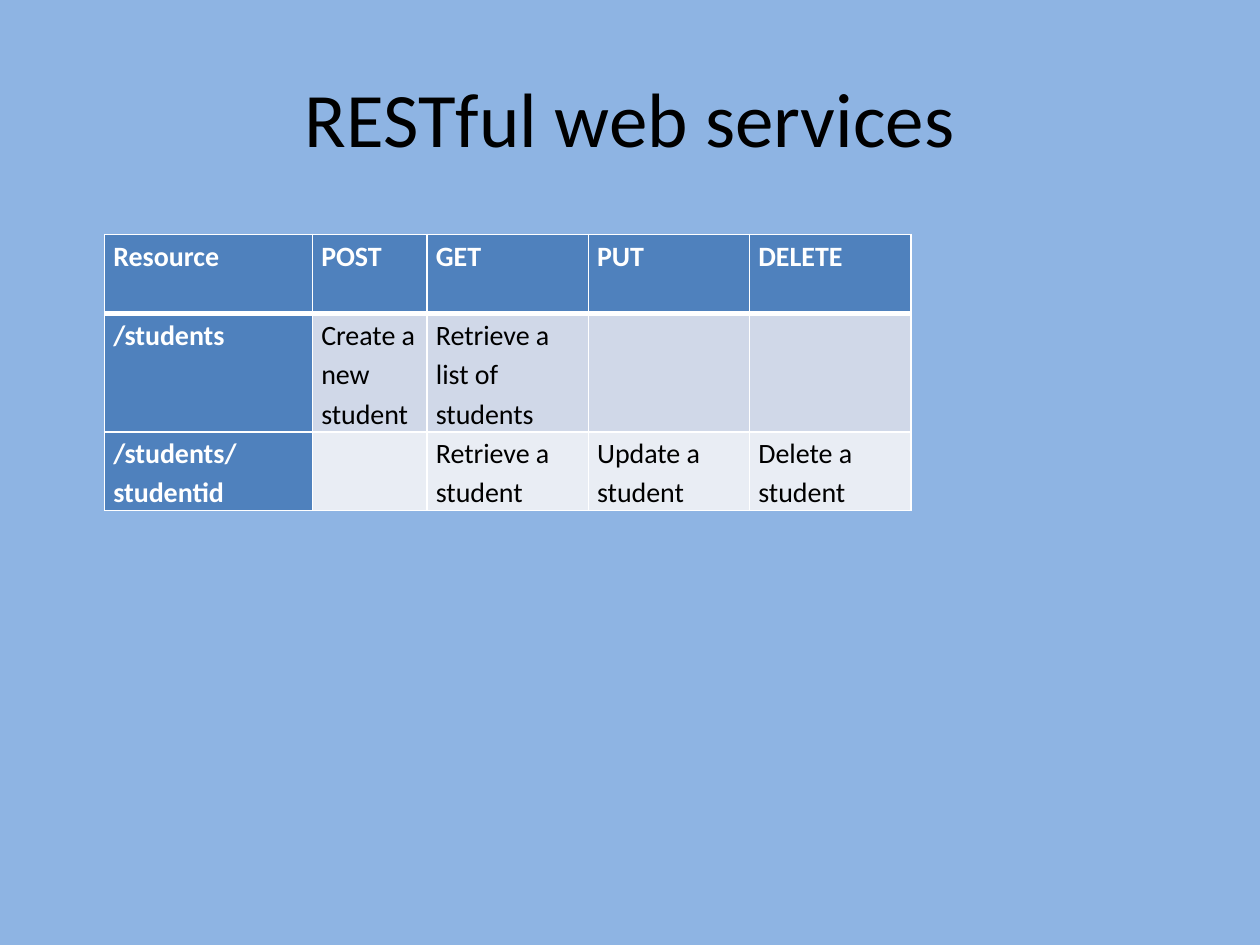
from lxml.etree import SubElement
from pptx import Presentation
from pptx.dml.color import RGBColor
from pptx.enum.text import MSO_ANCHOR, PP_ALIGN
from pptx.oxml.ns import qn
from pptx.util import Inches, Pt

COLORS = {
    "background": "8EB4E3",
    "header": "4F81BD",
    "odd_row": "D0D8E8",
    "even_row": "E9EDF4",
    "white": "FFFFFF",
    "black": "000000",
}
ENDPOINTS = [
    ["Resource", "POST", "GET", "PUT", "DELETE"],
    ["/students", "Create a new student", "Retrieve a list of students", "", ""],
    ["/students/studentid", "", "Retrieve a student", "Update a student",
     "Delete a student"],
]
COLUMN_WIDTHS = [1.65, 0.91, 1.28, 1.28, 1.28]
ROW_HEIGHTS = [0.63, 0.93, 0.62]


class SlideBuilder:
    """Holds the style and the current slide."""

    font_name = "Calibri"

    def __init__(self, slide):
        self.slide = slide

    def color(self, name):
        return RGBColor.from_string(COLORS[name])

    def background(self, name):
        fill = self.slide.background.fill
        fill.solid()
        fill.fore_color.rgb = self.color(name)

    def format(self, paragraph, size, color, bold=False):
        font = paragraph.font
        font.name, font.size, font.bold = self.font_name, Pt(size), bold
        font.color.rgb = self.color(color)

    def title(self, text, left, top, width, height):
        title = self.slide.shapes.title
        title.left, title.top = Inches(left), Inches(top)
        title.width, title.height = Inches(width), Inches(height)
        title.text_frame.text = text
        title.text_frame.vertical_anchor = MSO_ANCHOR.MIDDLE
        heading = title.text_frame.paragraphs[0]
        heading.alignment = PP_ALIGN.CENTER
        self.format(heading, 44, "black")

    def borders(self, cell, widths):
        properties = cell._tc.get_or_add_tcPr()
        for position, (side, width) in enumerate(widths.items()):
            line = properties.makeelement(qn(f"a:{side}"), {"w": str(Pt(width))})
            fill = SubElement(line, qn("a:solidFill"))
            SubElement(fill, qn("a:srgbClr"), val=COLORS["white"])
            properties.insert(position, line)

    def cell(self, cell, text, fill, is_heading):
        cell.fill.solid()
        cell.fill.fore_color.rgb = self.color(fill)
        cell.margin_left = cell.margin_right = Inches(0.07)
        cell.margin_top = cell.margin_bottom = 0
        cell.text = text
        paragraph = cell.text_frame.paragraphs[0]
        paragraph.line_spacing = 1.15
        self.format(paragraph, 16, "white" if is_heading else "black", is_heading)

    def table(self, rows, left, top, column_widths, row_heights):
        table = self.slide.shapes.add_table(
            len(rows), len(column_widths), Inches(left), Inches(top),
            Inches(sum(column_widths)), Inches(sum(row_heights))).table
        table.first_col = True
        for column, width in zip(table.columns, column_widths):
            column.width = Inches(width)
        for r, (row, height) in enumerate(zip(rows, row_heights)):
            table.rows[r].height = Inches(height)
            for c, text in enumerate(row):
                is_heading = r == 0 or c == 0
                band = "odd_row" if r % 2 else "even_row"
                cell = table.cell(r, c)
                self.cell(cell, text, "header" if is_heading else band, is_heading)
                # The header row is ruled off by a thicker line
                self.borders(cell, {"lnL": 1, "lnR": 1,
                                    "lnT": 3 if r == 1 else 1,
                                    "lnB": 3 if r == 0 else 1})


def main():
    presentation = Presentation()
    presentation.slide_width, presentation.slide_height = Inches(10), Inches(7.5)
    title_only = presentation.slide_layouts[5]
    builder = SlideBuilder(presentation.slides.add_slide(title_only))

    # Background and title
    builder.background("background")
    builder.title("RESTful web services", 0.5, 0.3, 9, 1.25)

    # Resources and their HTTP methods
    builder.table(ENDPOINTS, 0.83, 1.86, COLUMN_WIDTHS, ROW_HEIGHTS)

    presentation.save("out.pptx")


if __name__ == "__main__":
    main()
